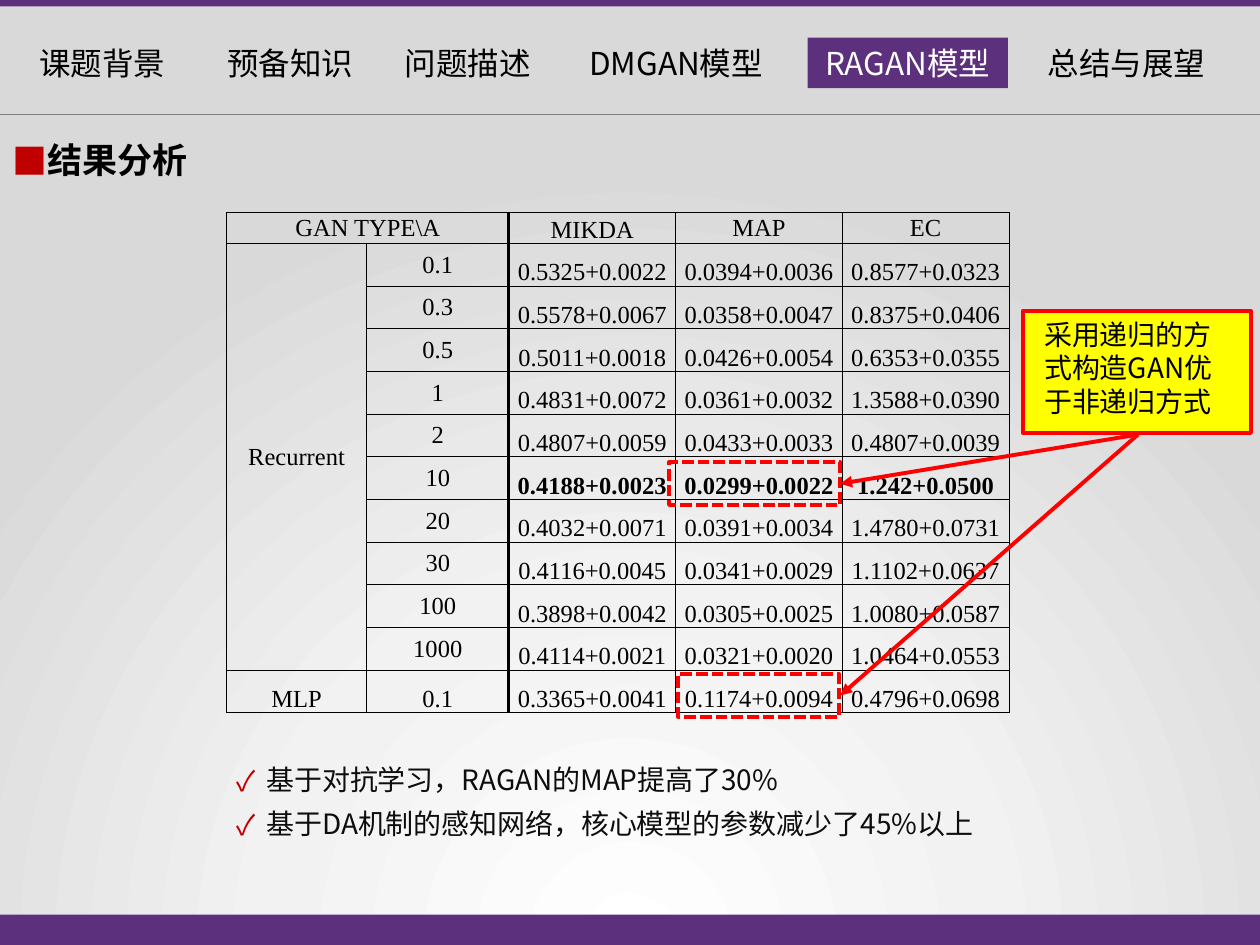
from lxml.etree import SubElement
from pptx import Presentation
from pptx.dml.color import RGBColor
from pptx.enum.dml import MSO_LINE
from pptx.enum.shapes import MSO_CONNECTOR, MSO_SHAPE
from pptx.enum.text import MSO_ANCHOR, PP_ALIGN
from pptx.oxml.ns import qn
from pptx.util import Cm, Pt

PURPLE = RGBColor(0x5C, 0x30, 0x7D)
GRAY = RGBColor(0x80, 0x80, 0x80)
RED = RGBColor(0xFF, 0x00, 0x00)
DARK_RED = RGBColor(0xC0, 0x00, 0x00)
YELLOW = RGBColor(0xFF, 0xFF, 0x00)
BLACK = RGBColor(0x00, 0x00, 0x00)
INK = RGBColor(0x0D, 0x0D, 0x0D)
WHITE = RGBColor(0xFF, 0xFF, 0xFF)
SANS = "Noto Sans CJK SC"
SERIF = "Times New Roman"

# Navigation tabs: label, left, width
TABS = [
    ("课题背景", 0.53, 3.07), ("预备知识", 4.32, 3.07), ("问题描述", 7.9, 3.07),
    ("DMGAN模型", 11.51, 4.24), ("RAGAN模型", 16.28, 4.04), ("总结与展望", 20.85, 3.71),
]
ACTIVE_TAB = "RAGAN模型"

HEADER = ["GAN TYPE\\A", "", "MIKDA", "MAP", "EC"]
RESULTS = [
    ["Recurrent", "0.1", "0.5325+0.0022", "0.0394+0.0036", "0.8577+0.0323"],
    ["", "0.3", "0.5578+0.0067", "0.0358+0.0047", "0.8375+0.0406"],
    ["", "0.5", "0.5011+0.0018", "0.0426+0.0054", "0.6353+0.0355"],
    ["", "1", "0.4831+0.0072", "0.0361+0.0032", "1.3588+0.0390"],
    ["", "2", "0.4807+0.0059", "0.0433+0.0033", "0.4807+0.0039"],
    ["", "10", "0.4188+0.0023", "0.0299+0.0022", "1.242+0.0500"],
    ["", "20", "0.4032+0.0071", "0.0391+0.0034", "1.4780+0.0731"],
    ["", "30", "0.4116+0.0045", "0.0341+0.0029", "1.1102+0.0637"],
    ["", "100", "0.3898+0.0042", "0.0305+0.0025", "1.0080+0.0587"],
    ["", "1000", "0.4114+0.0021", "0.0321+0.0020", "1.0464+0.0553"],
    ["MLP", "0.1", "0.3365+0.0041", "0.1174+0.0094", "0.4796+0.0698"],
]
BEST_ROW = 6
LAST_ROW = len(RESULTS)
COLUMN_WIDTHS = [2.82, 2.87, 3.36, 3.36, 3.36]


def set_background(page):
    page.background.fill.gradient()
    gradient = page.element.find(".//" + qn("a:gradFill"))
    for child in list(gradient):
        gradient.remove(child)
    stops = SubElement(gradient, qn("a:gsLst"))
    for position, color in ((0, "FFFFFF"), (46, "F2F2F2"), (100, "D9D9D9")):
        stop = SubElement(stops, qn("a:gs"), pos=str(position * 1000))
        SubElement(stop, qn("a:srgbClr"), val=color)
    circle = SubElement(gradient, qn("a:path"), path="circle")
    SubElement(circle, qn("a:fillToRect"), l="50000", t="130000", r="50000", b="-30000")


def add_span(para, text, size, color=BLACK, font=SANS, bold=False):
    span = para.add_run()
    span.text = text
    span.font.size = Pt(size)
    span.font.bold = bold
    span.font.color.rgb = color
    span.font.name = font
    SubElement(span.font._element, qn("a:ea"), typeface=font)


def add_box(shapes, left, top, width, height, fill=None, line=None, dash=None):
    box = shapes.add_shape(MSO_SHAPE.RECTANGLE, Cm(left), Cm(top), Cm(width), Cm(height))
    box.shadow.inherit = False
    if fill is None:
        box.fill.background()
    else:
        box.fill.solid()
        box.fill.fore_color.rgb = fill
    if line is None:
        box.line.fill.background()
    else:
        box.line.color.rgb = line
        box.line.width = Pt(2.25)
        box.line.dash_style = dash
    return box


def add_text(shapes, left, top, width, height, wrap=True):
    box = shapes.add_textbox(Cm(left), Cm(top), Cm(width), Cm(height))
    box.text_frame.word_wrap = wrap
    return box.text_frame


def add_bullets(page, left, top, width, height, lines, mark, size, color, bold=False):
    frame = add_text(page.shapes, left, top, width, height)
    for index, line in enumerate(lines):
        para = frame.paragraphs[0] if index == 0 else frame.add_paragraph()
        if index:
            para.space_before = Pt(6)
        props = para._p.get_or_add_pPr()
        props.set("marL", str(Cm(0.6)))
        props.set("indent", str(-Cm(0.6)))
        tint = SubElement(props, qn("a:buClr"))
        SubElement(tint, qn("a:srgbClr"), val=str(DARK_RED))
        SubElement(props, qn("a:buFont"), typeface=SANS)
        SubElement(props, qn("a:buChar"), char=mark)
        add_span(para, line, size, color, bold=bold)


def add_line(page, start, end, color, width, arrow=False):
    line = page.shapes.add_connector(MSO_CONNECTOR.STRAIGHT, *map(Cm, start + end))
    line.line.color.rgb = color
    line.line.width = Pt(width)
    if arrow:
        SubElement(line.line._get_or_add_ln(), qn("a:tailEnd"), type="triangle")
    SubElement(line._element.spPr, qn("a:effectLst"))


def set_borders(cell, column):
    props = cell._tc.get_or_add_tcPr()
    thick = {1: "a:lnR", 2: "a:lnL"}.get(column)
    for side in ("a:lnL", "a:lnR", "a:lnT", "a:lnB"):
        width = Pt(2) if side == thick else Pt(0.5)
        border = SubElement(props, qn(side), w=str(width))
        fill = SubElement(border, qn("a:solidFill"))
        SubElement(fill, qn("a:srgbClr"), val=str(BLACK))


def add_results_table(page):
    rows = [HEADER] + RESULTS
    frame = page.shapes.add_table(len(rows), len(HEADER), Cm(4.57), Cm(4.29),
                                  Cm(sum(COLUMN_WIDTHS)), Cm(10.08))
    table = frame.table
    table.first_row = table.horz_banding = False
    for column, width in zip(table.columns, COLUMN_WIDTHS):
        column.width = Cm(width)
    for index, row in enumerate(table.rows):
        row.height = Cm(0.86 if index else 0.62)
    for r, values in enumerate(rows):
        for c, value in enumerate(values):
            cell = table.cell(r, c)
            set_borders(cell, c)
            cell.fill.background()
            cell.margin_left = cell.margin_right = cell.margin_top = cell.margin_bottom = 0
            low = r == LAST_ROW or c == 2 or (r > 0 and c > 2)
            cell.vertical_anchor = MSO_ANCHOR.BOTTOM if low else MSO_ANCHOR.MIDDLE
            para = cell.text_frame.paragraphs[0]
            para.alignment = PP_ALIGN.CENTER
            if value:
                add_span(para, value, 14, font=SERIF, bold=r == BEST_ROW and c > 1)
    table.cell(0, 0).merge(table.cell(0, 1))
    table.cell(1, 0).merge(table.cell(LAST_ROW - 1, 0))


def add_navigation(page):
    for label, left, width in TABS:
        place = (left, 0.76, width, 1.02)
        active = label == ACTIVE_TAB
        if active:
            frame = add_box(page.shapes, *place, fill=PURPLE).text_frame
            frame.word_wrap = False
        else:
            frame = add_text(page.shapes, *place, wrap=False)
        frame.vertical_anchor = MSO_ANCHOR.MIDDLE
        frame.paragraphs[0].alignment = PP_ALIGN.CENTER
        add_span(frame.paragraphs[0], label, 18, WHITE if active else BLACK)


def add_callout(page):
    group = page.shapes.add_group_shape()
    add_box(group.shapes, 20.62, 6.27, 4.6, 2.46, YELLOW, RED)
    frame = add_text(group.shapes, 20.8, 6.27, 4.42, 2.31)
    add_span(frame.paragraphs[0], "采用递归的方式构造GAN优于非递归方式", 16)


def main():
    deck = Presentation()
    deck.slide_width, deck.slide_height = Cm(25.4), Cm(19.05)
    page = deck.slides.add_slide(deck.slide_layouts[6])
    set_background(page)

    # Page frame and navigation
    add_box(page.shapes, 0, 18.44, 25.4, 0.61, PURPLE)
    add_box(page.shapes, 0, 0, 25.4, 0.13, PURPLE)
    add_line(page, (0, 2.31), (25.4, 2.31), GRAY, 0.5)
    add_navigation(page)

    # Results
    add_results_table(page)
    add_bullets(page, 0, 2.67, 17.12, 1.12, ["结果分析"], "■", 20, BLACK, bold=True)

    # Highlighted cells and callout
    add_box(page.shapes, 13.49, 9.32, 3.45, 0.86, line=RED, dash=MSO_LINE.SQUARE_DOT)
    add_box(page.shapes, 13.67, 13.59, 3.25, 0.86, line=RED, dash=MSO_LINE.SQUARE_DOT)
    add_callout(page)
    for tip in ((16.94, 14.02), (16.94, 9.75)):
        add_line(page, (22.94, 8.76), tip, RED, 2.25, arrow=True)

    # Conclusions
    conclusions = ["基于对抗学习，RAGAN的MAP提高了30%",
                   "基于DA机制的感知网络，核心模型的参数减少了45%以上"]
    add_bullets(page, 4.52, 15.24, 17.35, 1.83, conclusions, "✓", 16, INK)

    deck.save("out.pptx")


if __name__ == "__main__":
    main()
